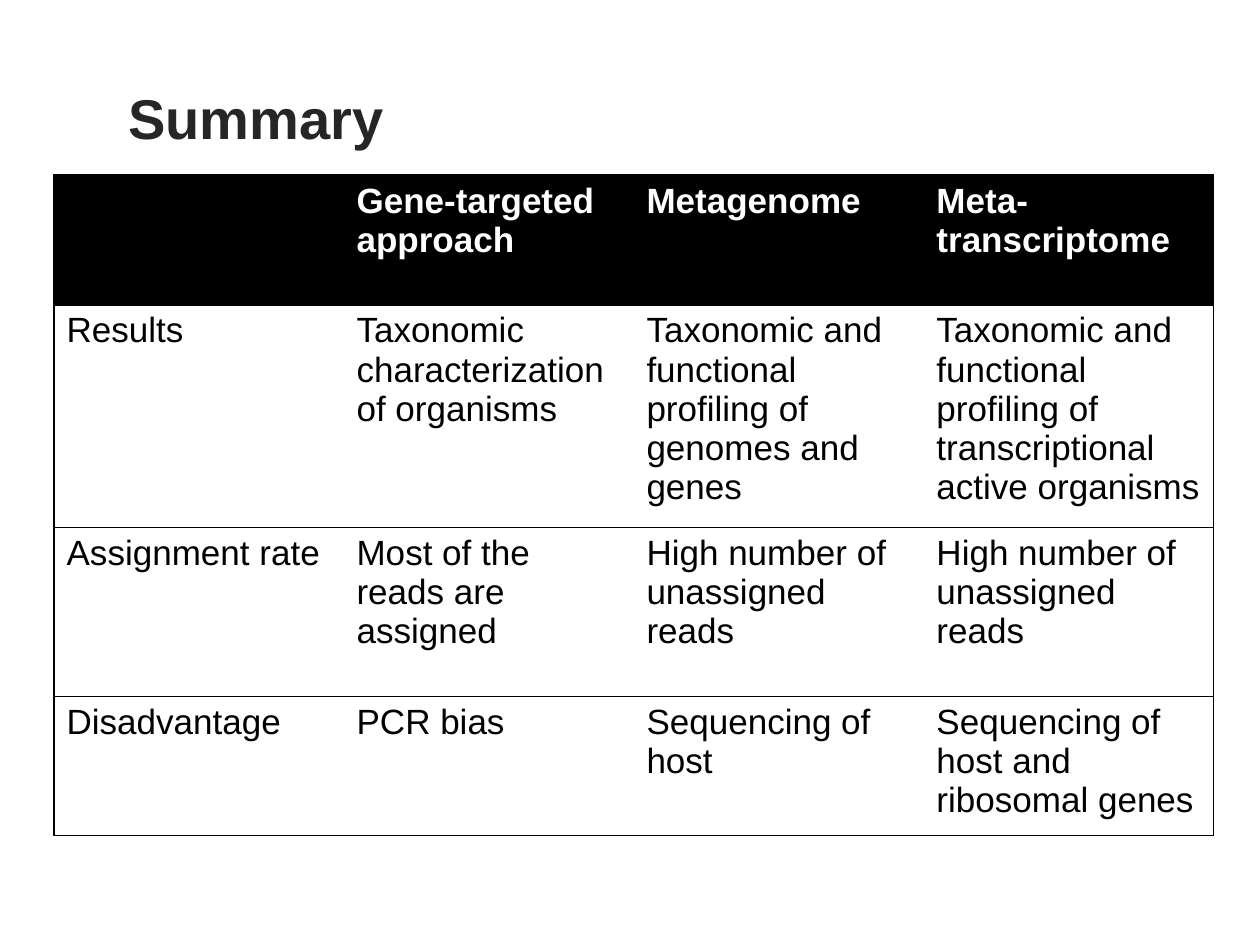
from lxml.etree import SubElement
from pptx import Presentation
from pptx.dml.color import RGBColor as Rgb
from pptx.enum.text import MSO_ANCHOR as Anchor
from pptx.oxml.ns import qn
from pptx.util import Pt

SCALE = 914400 // 126
COLORS = {"title": "262626", "ink": "000000", "paper": "FFFFFF"}
COLUMN_WIDTH = 290
ROW_HEIGHTS = [130, 208, 169, 130]
COMPARISON = [
    ["", "Gene-targeted approach", "Metagenome", "Meta-transcriptome"],
    ["Results", "Taxonomic characterization of organisms",
     "Taxonomic and functional profiling of genomes and genes",
     "Taxonomic and functional profiling of transcriptional active organisms"],
    ["Assignment rate", "Most of the reads are assigned",
     "High number of unassigned reads", "High number of unassigned reads"],
    ["Disadvantage", "PCR bias", "Sequencing of host",
     "Sequencing of host and ribosomal genes"],
]


def px(*lengths):
    return [length * SCALE for length in lengths]


class SlideBuilder:
    font = "Arial"
    rule_width = Pt(0.75)

    def __init__(self, slide):
        self.slide = slide

    def add_text(self, frame, text, size, color, bold):
        run = frame.paragraphs[0].add_run()
        run.text = text
        run.font.name = self.font
        run.font.size = Pt(size)
        run.font.bold = bold
        run.font.color.rgb = Rgb.from_string(COLORS[color])

    def title(self, text, left, top, width, height):
        frame = self.slide.shapes.add_textbox(*px(left, top, width, height)).text_frame
        frame.word_wrap = True
        frame.vertical_anchor = Anchor.MIDDLE
        self.add_text(frame, text, 32, "title", True)

    def border(self, cell, sides):
        properties = cell._tc.get_or_add_tcPr()
        for side in "LRTB":
            line = SubElement(properties, qn(f"a:ln{side}"), w=str(int(self.rule_width)))
            if side in sides:
                fill = SubElement(line, qn("a:solidFill"))
                SubElement(fill, qn("a:srgbClr"), val=COLORS["ink"])
            else:
                SubElement(line, qn("a:noFill"))

    def table(self, rows, left, top, column_width, row_heights):
        column_count = len(rows[0])
        size = (column_width * column_count, sum(row_heights))
        table = self.slide.shapes.add_table(
            len(rows), column_count, *px(left, top, *size)).table
        table.horz_banding = False
        for row, height in zip(table.rows, row_heights):
            row.height = height * SCALE
        for column in table.columns:
            column.width = column_width * SCALE
        for r, texts in enumerate(rows):
            header = r == 0
            for c, text in enumerate(texts):
                cell = table.cell(r, c)
                sides = "TB" + "L" * (c == 0) + "R" * (c == column_count - 1)
                self.border(cell, sides)
                cell.fill.solid()
                cell.fill.fore_color.rgb = Rgb.from_string(
                    COLORS["ink" if header else "paper"])
                if text:
                    self.add_text(cell.text_frame, text, 20,
                                  "paper" if header else "ink", header)


def main():
    deck = Presentation()
    deck.slide_width, deck.slide_height = px(1260, 945)
    summary = SlideBuilder(deck.slides.add_slide(deck.slide_layouts[6]))
    summary.title("Summary", 116, 38, 1081, 158)
    summary.table(COMPARISON, 54, 175, COLUMN_WIDTH, ROW_HEIGHTS)
    deck.save("out.pptx")


if __name__ == "__main__":
    main()
